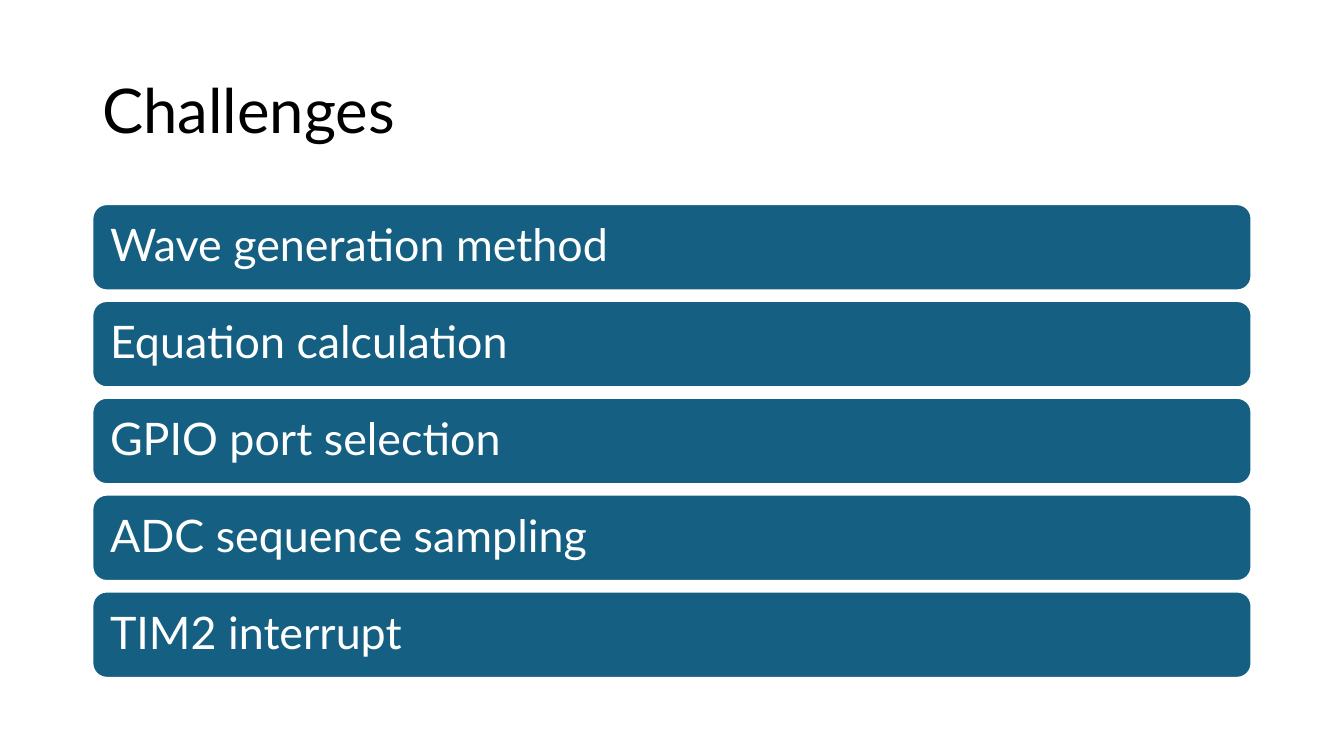
from dataclasses import dataclass

from pptx import Presentation
from pptx.dml.color import RGBColor
from pptx.enum.shapes import MSO_SHAPE
from pptx.enum.text import MSO_ANCHOR, PP_ALIGN
from pptx.util import Pt


@dataclass(frozen=True)
class Theme:
    font: str = "Lato"
    title_size: float = 44
    challenge_size: float = 32
    ink: RGBColor = RGBColor(0x00, 0x00, 0x00)
    paper: RGBColor = RGBColor(0xFF, 0xFF, 0xFF)
    bar: RGBColor = RGBColor(0x15, 0x60, 0x82)


@dataclass(frozen=True)
class Box:
    left: float
    top: float
    width: float
    height: float

    def lengths(self):
        return Pt(self.left), Pt(self.top), Pt(self.width), Pt(self.height)


THEME = Theme()
CHALLENGES = [
    "Wave generation method",
    "Equation calculation",
    "GPIO port selection",
    "ADC sequence sampling",
    "TIM2 interrupt",
]


def write_line(frame, text, size, color, inset_x, inset_y):
    """Fill a frame with one left-aligned, vertically centred line."""
    frame.word_wrap = True
    frame.vertical_anchor = MSO_ANCHOR.MIDDLE
    frame.margin_left = frame.margin_right = Pt(inset_x)
    frame.margin_top = frame.margin_bottom = Pt(inset_y)
    frame.text = text
    line = frame.paragraphs[0]
    line.alignment = PP_ALIGN.LEFT
    line.line_spacing = 0.9
    font = line.runs[0].font
    font.name, font.size = THEME.font, Pt(size)
    font.color.rgb = color


def add_title(slide, box, text):
    title = slide.shapes.add_textbox(*box.lengths())
    write_line(title.text_frame, text, THEME.title_size, THEME.ink, 7.2, 3.6)


def add_challenge_bars(slide, box, challenges, gap):
    """Stack equal rounded bars that fill the box."""
    count = len(challenges)
    height = (box.height - gap * (count - 1)) / count
    for row, challenge in enumerate(challenges):
        place = Box(box.left, box.top + row * (height + gap), box.width, height)
        bar = slide.shapes.add_shape(MSO_SHAPE.ROUNDED_RECTANGLE, *place.lengths())
        bar.shadow.inherit = False
        bar.fill.solid()
        bar.fill.fore_color.rgb = THEME.bar
        bar.line.color.rgb = THEME.paper
        bar.line.width = Pt(1.5)
        write_line(bar.text_frame, challenge, THEME.challenge_size,
                   THEME.paper, 9.6, 9.6)


def main():
    deck = Presentation()
    deck.slide_width, deck.slide_height = Pt(960), Pt(540)
    slide = deck.slides.add_slide(deck.slide_layouts[6])

    # Heading
    add_title(slide, Box(66, 28.75, 828, 104.4), "Challenges")

    # List of challenges
    add_challenge_bars(slide, Box(66, 145.8, 828, 338.4), CHALLENGES, gap=7.5)

    deck.save("out.pptx")


if __name__ == "__main__":
    main()
